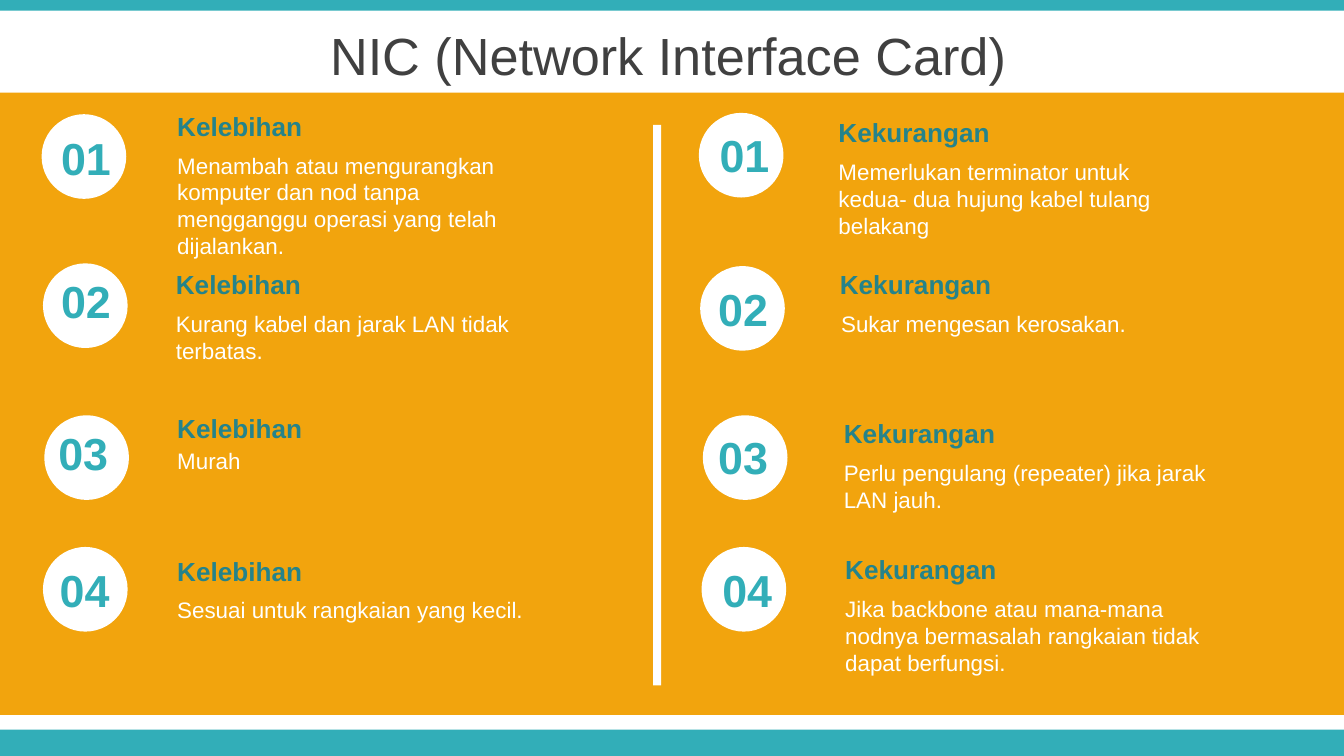
from dataclasses import dataclass

from pptx import Presentation
from pptx.dml.color import RGBColor
from pptx.enum import shapes, text
from pptx.util import Inches, Pt

TEAL = RGBColor(0x32, 0xAE, 0xB8)
DARK_TEAL = RGBColor(0x25, 0x83, 0x8A)
ORANGE = RGBColor(0xF2, 0xA4, 0x0D)
WHITE = RGBColor(0xFF, 0xFF, 0xFF)
GREY = RGBColor(0x40, 0x40, 0x40)

RECT = shapes.MSO_SHAPE.RECTANGLE
OVAL = shapes.MSO_SHAPE.OVAL
FONT = "Arial"
DOT = 0.63
NUMBER_W = 0.7
TEXT_W = 2.91
LINE_H = 0.2


@dataclass(frozen=True)
class Point:
    """One numbered point; positions are (left, top) in inches."""
    dot: tuple[float, float]
    number: tuple[float, float]
    heading: tuple[float, float]
    body: str
    lines: int
    body_dx: float = 0
    body_dy: float = 0.31


COLUMNS = {
    "Kelebihan": [
        Point((0.31, 0.85), (0.29, 0.92), (1.22, 0.77),
              "Menambah atau mengurangkan komputer dan nod tanpa "
              "mengganggu operasi yang telah dijalankan.", 4),
        Point((0.32, 1.96), (0.29, 1.99), (1.21, 1.95),
              "Kurang kabel dan jarak LAN tidak terbatas.", 2),
        Point((0.33, 3.09), (0.27, 3.12), (1.22, 3.02), "Murah", 1, body_dy=0.26),
        Point((0.32, 4.07), (0.28, 4.14), (1.22, 4.08),
              "Sesuai untuk rangkaian yang kecil.", 1),
    ],
    "Kekurangan": [
        Point((5.2, 0.84), (5.19, 0.9), (6.14, 0.82),
              "Memerlukan terminator untuk kedua- dua hujung kabel tulang belakang", 3),
        Point((5.21, 1.98), (5.18, 2.05), (6.15, 1.95),
              "Sukar mengesan kerosakan.", 1, body_dx=0.01),
        Point((5.23, 3.09), (5.18, 3.15), (6.18, 3.06),
              "Perlu pengulang (repeater) jika jarak LAN jauh.", 2),
        Point((5.22, 4.07), (5.21, 4.14), (6.19, 4.07),
              "Jika backbone atau mana-mana nodnya bermasalah rangkaian tidak "
              "dapat berfungsi.", 3),
    ],
}


def add_block(s, kind: shapes.MSO_SHAPE, x: float, y: float, w: float, h: float,
              color: RGBColor) -> None:
    sp = s.shapes.add_shape(kind, Inches(x), Inches(y), Inches(w), Inches(h))
    sp.shadow.inherit = False
    sp.fill.solid()
    sp.fill.fore_color.rgb = color
    sp.line.fill.background()


def set_font(p, size: float, color: RGBColor, bold: bool = False) -> None:
    p.font.name = FONT
    p.font.size = Pt(size)
    p.font.bold = bold
    p.font.color.rgb = color


def add_label(s, words: str, x: float, y: float, w: float, h: float, size: float,
              color: RGBColor, bold: bool = False,
              align: text.PP_ALIGN = text.PP_ALIGN.LEFT) -> None:
    tf = s.shapes.add_textbox(Inches(x), Inches(y), Inches(w), Inches(h)).text_frame
    tf.word_wrap = True
    p = tf.paragraphs[0]
    p.text = words
    p.alignment = align
    set_font(p, size, color, bold)


def add_point(s, number: int, heading: str, point: Point) -> None:
    add_block(s, OVAL, *point.dot, DOT, DOT, WHITE)
    add_label(s, f"{number:02}", *point.number, NUMBER_W, 0.5, 24, TEAL,
              bold=True, align=text.PP_ALIGN.CENTER)
    x, y = point.heading
    add_label(s, heading, x, y, TEXT_W, 0.34, 14, DARK_TEAL, bold=True)
    add_label(s, point.body, x + point.body_dx, y + point.body_dy, TEXT_W,
              0.1 + LINE_H * point.lines, 12, WHITE)


def set_title(s, words: str) -> None:
    title = s.shapes.title
    title.left, title.top = Inches(-0.03), Inches(0.09)
    title.width, title.height = Inches(10), Inches(0.63)
    tf = title.text_frame
    tf.vertical_anchor = text.MSO_ANCHOR.MIDDLE
    tf.auto_size = text.MSO_AUTO_SIZE.NONE
    p = tf.paragraphs[0]
    p.text = words
    p.alignment = text.PP_ALIGN.CENTER
    set_font(p, 28, GREY)


def main() -> None:
    prs = Presentation()
    prs.slide_width = Inches(10)
    prs.slide_height = prs.slide_width * 9 // 16
    s = prs.slides.add_slide(prs.slide_layouts[5])
    set_title(s, "NIC (Network Interface Card)")

    add_block(s, RECT, 0, 5.43, 10, 0.2, TEAL)
    add_block(s, RECT, 0, 0, 10, 0.08, TEAL)
    add_block(s, RECT, 0, 0.69, 10, 4.63, ORANGE)
    add_block(s, RECT, 4.86, 0.93, 0.06, 4.17, WHITE)

    for heading, points in COLUMNS.items():
        for number, point in enumerate(points, start=1):
            add_point(s, number, heading, point)

    prs.save("out.pptx")


if __name__ == "__main__":
    main()
